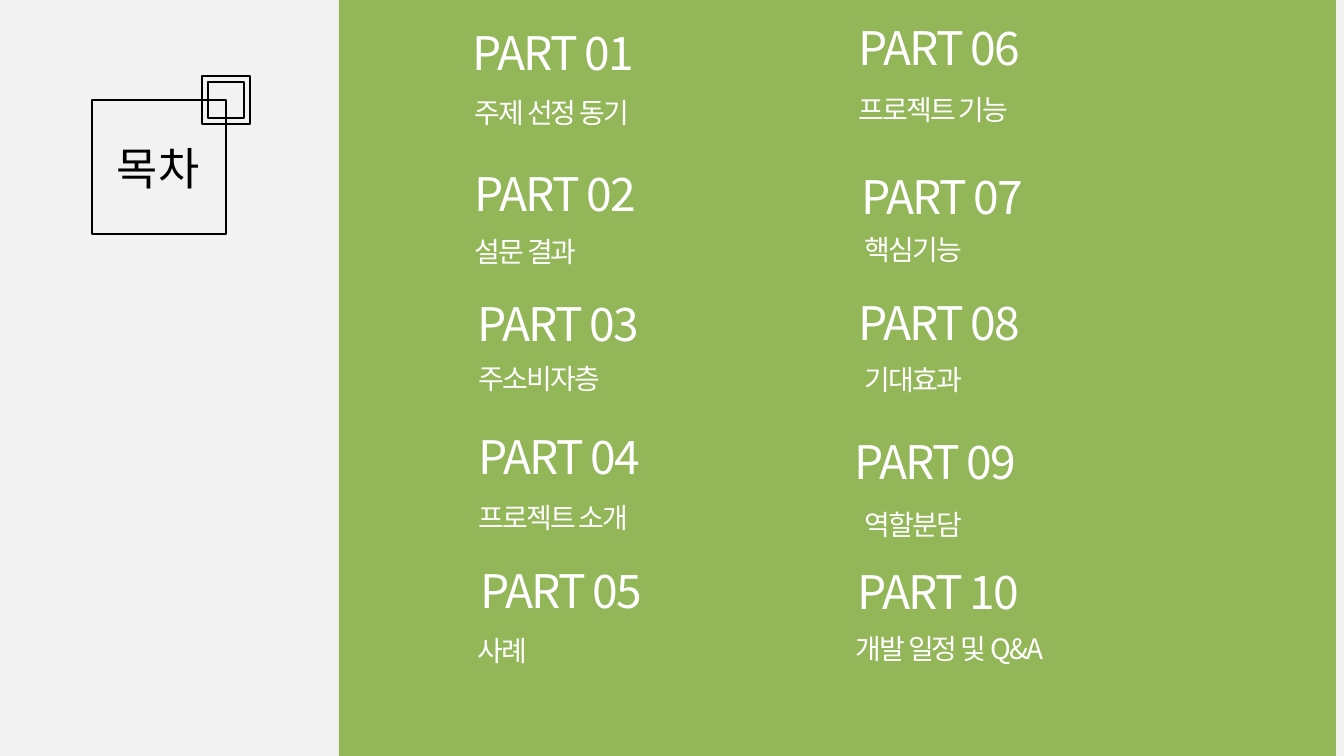
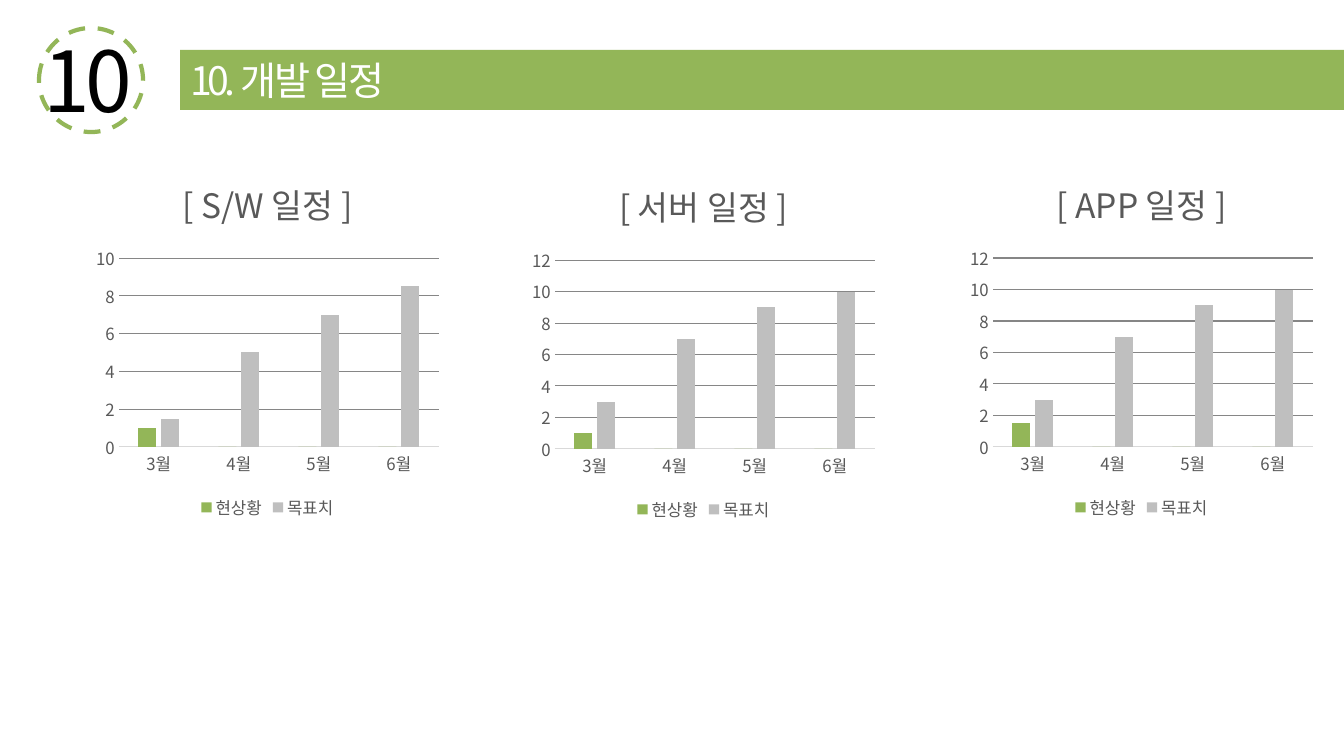
from dataclasses import dataclass

from lxml import etree
from pptx import Presentation
from pptx.chart.data import CategoryChartData
from pptx.dml.color import RGBColor
from pptx.enum.chart import XL_CHART_TYPE, XL_LEGEND_POSITION, XL_TICK_MARK
from pptx.enum.dml import MSO_LINE
from pptx.enum.shapes import MSO_SHAPE
from pptx.enum.text import MSO_ANCHOR, MSO_AUTO_SIZE, PP_ALIGN
from pptx.oxml.ns import qn
from pptx.util import Emu, Pt

RECT, OVAL = MSO_SHAPE.RECTANGLE, MSO_SHAPE.OVAL
LEFT, CENTER = PP_ALIGN.LEFT, PP_ALIGN.CENTER
MIDDLE, NO_FIT = MSO_ANCHOR.MIDDLE, MSO_AUTO_SIZE.NONE
COLUMNS, BOTTOM = XL_CHART_TYPE.COLUMN_CLUSTERED, XL_LEGEND_POSITION.BOTTOM
NO_TICK, DASH = XL_TICK_MARK.NONE, MSO_LINE.DASH
TITLE_ONLY = 5
PX = 914400 / 100.8


@dataclass(frozen=True)
class Theme:
    font: str = "Noto Sans CJK KR"
    green: str = "93B658"
    panel: str = "F2F2F2"
    white: str = "FFFFFF"
    black: str = "000000"
    gray: str = "595959"
    target: str = "BFBFBF"
    axis: str = "D9D9D9"
    grid: str = "868686"
    contents: int = 32
    entry: int = 33
    label: int = 20
    number: int = 60
    heading: int = 28
    chart_title: int = 24
    chart_text: int = 12


T = Theme()

# heading left, top; label left, top; label
ENTRIES = [
    (463, 20, 465, 90, "주제 선정 동기"),
    (465, 161, 465, 229, "설문 결과"),
    (468, 291, 469, 356, "주소비자층"),
    (469, 424, 469, 495, "프로젝트 소개"),
    (471, 558, 468, 628, "사례"),
    (849, 15, 849, 87, "프로젝트 기능"),
    (852, 164, 855, 227, "핵심기능"),
    (849, 290, 855, 357, "기대효과"),
    (845, 429, 855, 502, "역할분담"),
    (848, 559, 846, 626, "개발 일정 및 Q&A"),
]

MONTHS = ["3월", "4월", "5월", "6월"]

# title, left, top, axis maximum, current state, target
SCHEDULES = [
    ("[ S/W 일정 ]", 89, 157, 10, (1, 0, 0, 0), (1.5, 5, 7, 8.5)),
    ("[ 서버 일정 ]", 525, 159, 12, (1, 0, 0, 0), (3, 7, 9, 10)),
    ("[ APP 일정 ]", 963, 157, 12, (1.5, 0, 0, 0), (3, 7, 9, 10)),
]


def px(*values):
    return [Emu(round(v * PX)) for v in values]


def rgb(color):
    return RGBColor.from_string(color)


def set_all(obj, values):
    for name, value in values.items():
        setattr(obj, name, value)


def set_font(font, size, color):
    """Apply one typeface to Latin and Korean text."""
    set_all(font, {"name": T.font, "size": Pt(size), "bold": False})
    font.color.rgb = rgb(color)
    latin = font._element.find(qn("a:latin"))
    latin.addnext(etree.Element(qn("a:ea"), typeface=T.font))


def write(shape, runs, size, color, align=LEFT, inset=10):
    """Fill a shape with one paragraph of (text, letter spacing) runs."""
    tf = shape.text_frame
    side = px(inset)[0]
    set_all(tf, {"word_wrap": True, "auto_size": NO_FIT,
                 "vertical_anchor": MIDDLE,
                 "margin_left": side, "margin_right": side})
    p = tf.paragraphs[0]
    p.alignment = align
    for text, spacing in runs:
        r = p.add_run()
        r.text = text
        set_font(r.font, size, color)
        if spacing:
            r.font._element.set("spc", str(spacing))


def add_text(s, box, runs, size, color, **options):
    write(s.shapes.add_textbox(*px(*box)), runs, size, color, **options)


def add_title(s, box, runs, size, color):
    title = s.shapes.title
    title.left, title.top, title.width, title.height = px(*box)
    write(title, runs, size, color)
    # Bring the title in front of the shapes behind it
    title.element.getparent().append(title.element)


def add_shape(s, kind, box, fill=None, line=None, width=1, dash=None):
    sp = s.shapes.add_shape(kind, *px(*box))
    sp.shadow.inherit = False
    if fill:
        sp.fill.solid()
        sp.fill.fore_color.rgb = rgb(fill)
    else:
        sp.fill.background()
    if line:
        sp.line.color.rgb = rgb(line)
        set_all(sp.line, {"width": Pt(width), "dash_style": dash})
    else:
        sp.line.fill.background()


def add_schedule(s, title, left, top, maximum, current, target):
    data = CategoryChartData()
    data.categories = MONTHS
    data.add_series("현상황", current)
    data.add_series("목표치", target)
    chart = s.shapes.add_chart(COLUMNS, *px(left, top, 357, 367), data).chart
    set_font(chart.font, T.chart_text, T.gray)

    # Title and legend
    chart.has_title = True
    chart.chart_title.include_in_layout = False
    r = chart.chart_title.text_frame.paragraphs[0].add_run()
    r.text = title
    set_font(r.font, T.chart_title, T.gray)
    chart.has_legend = True
    set_all(chart.legend, {"position": BOTTOM, "include_in_layout": False})
    set_font(chart.legend.font, T.chart_text, T.gray)

    # Columns
    plot = chart.plots[0]
    set_all(plot, {"gap_width": 219, "overlap": -27,
                   "vary_by_categories": False})
    for series, color in zip(plot.series, (T.green, T.target)):
        series.format.fill.solid()
        series.format.fill.fore_color.rgb = rgb(color)

    # Axes
    months, values = chart.category_axis, chart.value_axis
    for axis in (months, values):
        set_all(axis, {"major_tick_mark": NO_TICK, "minor_tick_mark": NO_TICK})
        set_font(axis.tick_labels.font, T.chart_text, T.gray)
    set_all(values, {"minimum_scale": 0, "maximum_scale": maximum,
                     "major_unit": 2, "has_major_gridlines": True})
    values.format.line.fill.background()
    for line, color in ((months.format.line, T.axis),
                        (values.major_gridlines.format.line, T.grid)):
        line.color.rgb = rgb(color)
        line.width = Pt(0.75)


def new_slide(prs, background):
    s = prs.slides.add_slide(prs.slide_layouts[TITLE_ONLY])
    s.background.fill.solid()
    s.background.fill.fore_color.rgb = rgb(background)
    return s


def build_contents(prs):
    s = new_slide(prs, T.panel)
    add_shape(s, RECT, (339, 0, 997, 756), fill=T.green)
    # Overlapping square frames around the title
    for left, top, side in ((92, 100, 134), (208, 82, 36), (202, 76, 48)):
        add_shape(s, RECT, (left, top, side, side), line=T.black)
    add_title(s, (107, 135, 120, 65), [("목차", 0)], T.contents, T.black)
    for number, (x, y, label_x, label_y, label) in enumerate(ENTRIES, 1):
        add_text(s, (x, y, 220, 65), [(f"PART {number:02}", -140)],
                 T.entry, T.white)
        add_text(s, (label_x, label_y, 262, 44), [(label, -140)],
                 T.label, T.white)


def build_schedules(prs):
    s = new_slide(prs, T.white)
    add_shape(s, RECT, (180, 50, 1164, 60), fill=T.green)
    add_shape(s, OVAL, (39, 28, 104, 104), line=T.green, width=3, dash=DASH)
    add_text(s, (33, 23, 110, 111), [("10", -300)], T.number, T.black,
             align=CENTER, inset=0)
    add_title(s, (180, 50, 400, 60), [("10. ", -300), ("개발 일정", -150)],
              T.heading, T.white)
    for schedule in SCHEDULES:
        add_schedule(s, *schedule)


def main():
    prs = Presentation()
    prs.slide_width, prs.slide_height = px(1344, 756)
    build_contents(prs)
    build_schedules(prs)
    prs.save("out.pptx")


if __name__ == "__main__":
    main()
